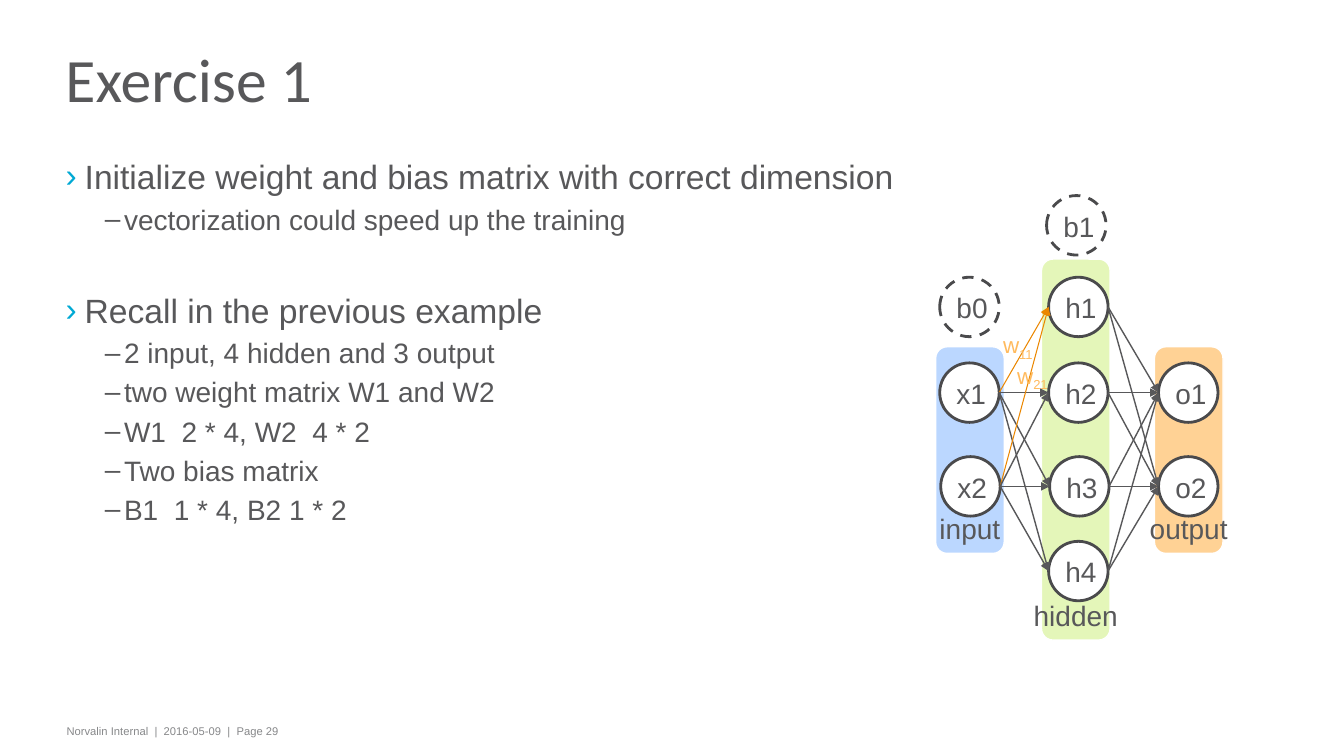
from dataclasses import dataclass

import pptx
import pptx.dml.color
import pptx.enum.dml
import pptx.enum.shapes
import pptx.enum.text
import pptx.oxml.ns
import pptx.util
from lxml import etree

Inches = pptx.util.Inches
Pt = pptx.util.Pt
Shapes = pptx.enum.shapes.MSO_SHAPE
Anchor = pptx.enum.text.MSO_ANCHOR
Align = pptx.enum.text.PP_ALIGN


@dataclass(frozen=True)
class Theme:
    heading_font: str = "Calibri"
    body_font: str = "Arial"
    text: str = "58585A"
    footer: str = "87888A"
    bullet: str = "00A9D4"
    white: str = "FFFFFF"
    outline: str = "4A4A4C"
    highlight: str = "EB8700"
    orange: str = "FFBA5D"
    green: str = "D6F294"
    blue: str = "97C3FF"
    title_size: int = 44
    topic_size: int = 24
    detail_size: int = 20
    weight_size: int = 16
    footer_size: int = 8


THEME = Theme()
TOPICS = [
    ("Initialize weight and bias matrix with correct dimension",
     ["vectorization could speed up the training"]),
    ("Recall in the previous example",
     ["2 input, 4 hidden and 3 output",
      "two weight matrix W1 and W2",
      "W1  2 * 4, W2  4 * 2",
      "Two bias matrix",
      "B1  1 * 4, B2 1 * 2"]),
]
NODE_SIZE = 0.59
BAND_WIDTH = 0.68
# Band: label, colour, left, top, height
BANDS = [
    ("output", THEME.orange, 2.17, 1.5, 2.05),
    ("hidden", THEME.green, 1.05, 0.63, 3.78),
    ("input", THEME.blue, 0, 1.5, 2.05),
]
# Node: left, top
INPUTS = {"x1": (0.04, 1.66), "x2": (0.05, 2.59)}
HIDDEN = {"h1": (1.12, 0.81), "h2": (1.12, 1.66), "h3": (1.13, 2.59), "h4": (1.12, 3.43)}
OUTPUTS = {"o1": (2.21, 1.66), "o2": (2.21, 2.59)}
BIASES = {"b0": (0.04, 0.81), "b1": (1.1, 0)}
WEIGHTS = {"11": (0.57, 1.3), "21": (0.71, 1.6)}


def rgb(value):
    return pptx.dml.color.RGBColor.from_string(value)


def add_child(parent, tag, **attributes):
    child = etree.SubElement(parent, pptx.oxml.ns.qn(tag))
    for name, value in attributes.items():
        child.set(name, str(value))
    return child


def write_text(paragraph, text, size, color=THEME.text, font=THEME.body_font, baseline=None):
    run = paragraph.add_run()
    run.text = text
    run.font.size = Pt(size)
    run.font.name = font
    run.font.color.rgb = rgb(color)
    if baseline is not None:
        run.font._element.set("baseline", str(baseline))


def set_frame(shape, anchor=Anchor.TOP, align=Align.LEFT, wrap=True, side=0.08, edge=0.05):
    frame = shape.text_frame
    frame.word_wrap = wrap
    frame.vertical_anchor = anchor
    frame.margin_left = frame.margin_right = Inches(side)
    frame.margin_top = frame.margin_bottom = Inches(edge)
    paragraph = frame.paragraphs[0]
    paragraph.alignment = align
    return paragraph


def add_text_box(slide, left, top, width, height, **frame_format):
    box = slide.shapes.add_textbox(Inches(left), Inches(top), Inches(width), Inches(height))
    return box.text_frame, set_frame(box, **frame_format)


def add_labelled_shape(slide, kind, box, label, fill, line, line_width, **frame_format):
    shape = slide.shapes.add_shape(kind, *[Inches(length) for length in box])
    shape.shadow.inherit = False
    shape.fill.solid()
    shape.fill.fore_color.rgb = rgb(fill)
    shape.line.color.rgb = rgb(line)
    shape.line.width = Pt(line_width)
    write_text(set_frame(shape, wrap=False, **frame_format), label, THEME.detail_size)
    return shape


def set_bullet(paragraph, character, color, indent):
    properties = paragraph._p.get_or_add_pPr()
    properties.set("marL", str(Inches(indent)))
    properties.set("indent", str(-Inches(0.19)))
    add_child(add_child(properties, "a:buClr"), "a:srgbClr", val=color)
    add_child(properties, "a:buFont", typeface=THEME.body_font)
    add_child(properties, "a:buChar", char=character)


def add_title(slide, left, top, width, height):
    _, paragraph = add_text_box(slide, left, top, width, height, anchor=Anchor.MIDDLE, edge=0)
    paragraph.line_spacing = 0.75
    write_text(paragraph, "Exercise 1", THEME.title_size, font=THEME.heading_font)


def add_topics(slide, left, top, width, height):
    frame, paragraph = add_text_box(slide, left, top, width, height, edge=0)
    for index, (topic, details) in enumerate(TOPICS):
        if index:
            paragraph = frame.add_paragraph()
            paragraph.space_before = Pt(38.5)
        set_bullet(paragraph, "›", THEME.bullet, 0.19)
        write_text(paragraph, topic, THEME.topic_size)
        for detail in details:
            paragraph = frame.add_paragraph()
            paragraph.level = 1
            paragraph.space_before = Pt(4)
            set_bullet(paragraph, "–", THEME.text, 0.58)
            write_text(paragraph, detail, THEME.detail_size)


def add_node(slide, label, left, top, dashed=False):
    node = add_labelled_shape(slide, Shapes.OVAL, (left, top, NODE_SIZE, NODE_SIZE), label,
                              THEME.white, THEME.outline, 2)
    if dashed:
        node.line.dash_style = pptx.enum.dml.MSO_LINE.DASH
    return node


def add_arrow(slide, source, target, color, width):
    """Join the right side of one node to the left side of another."""
    arrow = slide.shapes.add_connector(
        pptx.enum.shapes.MSO_CONNECTOR.STRAIGHT,
        source.left + source.width, source.top + source.height // 2,
        target.left, target.top + target.height // 2)
    arrow.line.color.rgb = rgb(color)
    arrow.line.width = Pt(width)
    add_child(arrow.line._get_or_add_ln(), "a:tailEnd", type="triangle")
    add_child(arrow._element.spPr, "a:effectLst")


def add_network(slide, left, top):
    for label, color, x, y, height in BANDS:
        band = add_labelled_shape(slide, Shapes.ROUNDED_RECTANGLE,
                                  (left + x, top + y, BAND_WIDTH, height), label,
                                  color, THEME.white, 1,
                                  anchor=Anchor.BOTTOM, align=Align.CENTER)
        fill_color = band._element.spPr.find(".//" + pptx.oxml.ns.qn("a:srgbClr"))
        add_child(fill_color, "a:alpha", val=65000)

    nodes = {label: add_node(slide, label, left + x, top + y, dashed=label in BIASES)
             for label, (x, y) in (INPUTS | HIDDEN | OUTPUTS | BIASES).items()}

    for sources, targets in ((INPUTS, HIDDEN), (HIDDEN, OUTPUTS)):
        for source in sources:
            for target in targets:
                color, width = (THEME.highlight, 0.75) if target == "h1" else (THEME.text, 1)
                add_arrow(slide, nodes[source], nodes[target], color, width)

    for subscript, (x, y) in WEIGHTS.items():
        _, paragraph = add_text_box(slide, left + x, top + y, 0.53, 0.37, wrap=False, side=0.1)
        write_text(paragraph, "w", THEME.weight_size, THEME.orange)
        write_text(paragraph, subscript, THEME.weight_size, THEME.orange, baseline=-25000)


def add_footer(slide, left, top, width, height):
    _, paragraph = add_text_box(slide, left, top, width, height)
    write_text(paragraph, "Norvalin Internal  |  2016-05-09  |  Page 29",
               THEME.footer_size, THEME.footer)


def main():
    presentation = pptx.Presentation()
    presentation.slide_width = Inches(13.33)
    presentation.slide_height = Inches(7.5)
    slide = presentation.slides.add_slide(presentation.slide_layouts[6])
    add_footer(slide, 0.58, 7.14, 10.79, 0.24)
    add_topics(slide, 0.57, 1.55, 12.18, 5.38)
    add_title(slide, 0.57, 0.26, 10.93, 1.19)
    add_network(slide, 9.28, 1.94)
    presentation.save("out.pptx")


if __name__ == "__main__":
    main()
